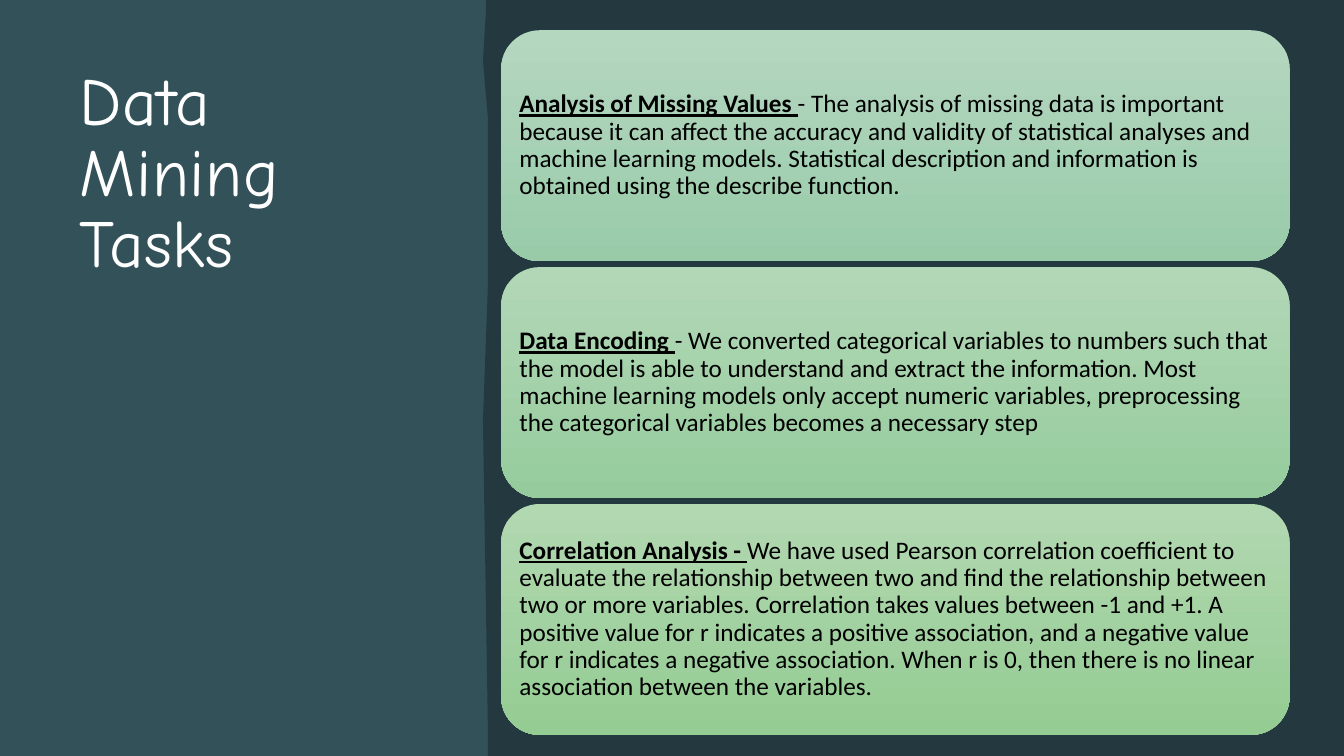
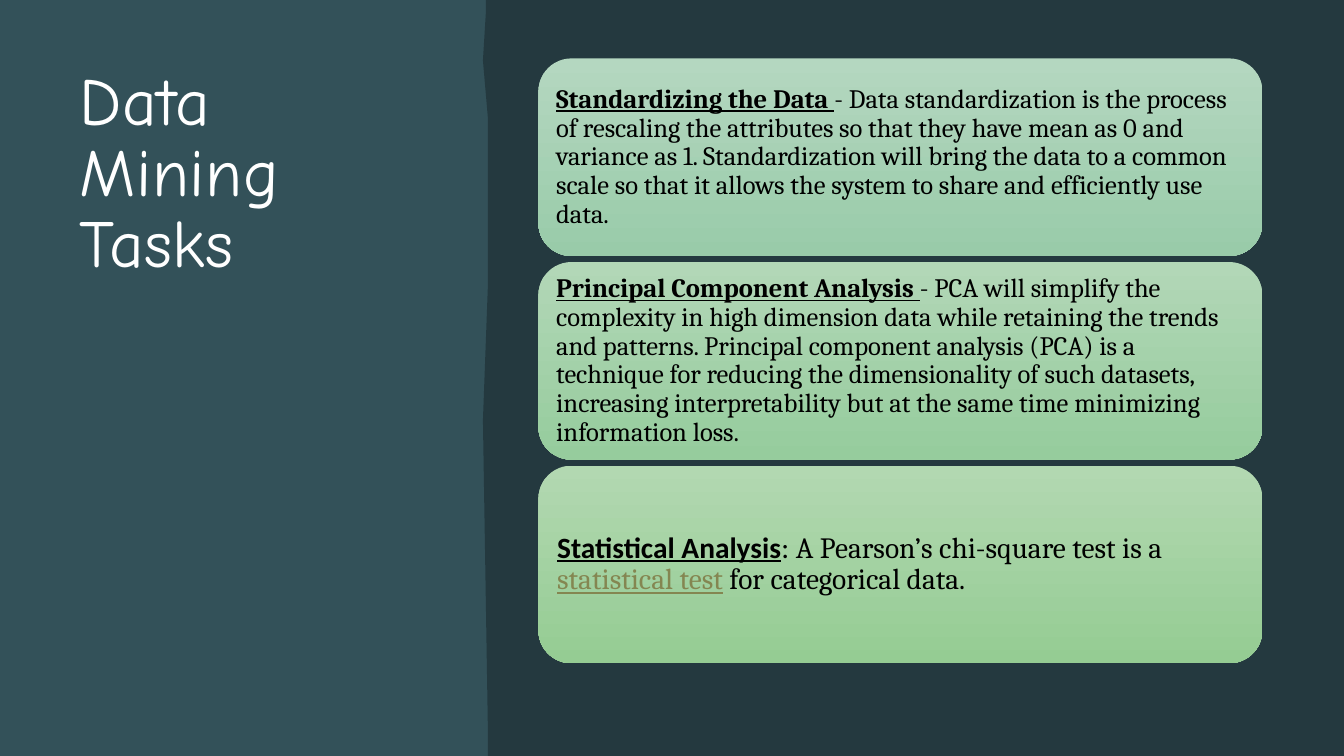
from pptx import Presentation
from pptx.dml.color import RGBColor
from pptx.enum.shapes import MSO_SHAPE
from pptx.enum.text import MSO_ANCHOR, MSO_AUTO_SIZE, PP_ALIGN
from pptx.util import Inches, Pt

# Colours
TEAL = RGBColor(0x33, 0x51, 0x59)
DARK = RGBColor(0x24, 0x39, 0x3F)
WHITE = RGBColor(0xFF, 0xFF, 0xFF)
BLACK = RGBColor(0x00, 0x00, 0x00)
OLIVE = RGBColor(0x84, 0x86, 0x51)
GREENS = [  # top and bottom of each card's gradient
    (RGBColor(0xB4, 0xD7, 0xC0), RGBColor(0x99, 0xCB, 0xA9)),
    (RGBColor(0xB2, 0xD7, 0xB7), RGBColor(0x96, 0xCC, 0x9D)),
    (RGBColor(0xB2, 0xD8, 0xB1), RGBColor(0x95, 0xCC, 0x93)),
]

# Shared layout
WIDTH, HEIGHT = 13.33, 7.5
GAP = 0.06
EDGE = [(WIDTH, 0), (WIDTH, HEIGHT), (4.84, HEIGHT), (4.84, 7.29),
        (4.79, 4.17), (4.84, 2.81), (4.84, 1.18), (4.79, 0.6), (4.82, 0.11)]

# Run styles
PLAIN = {}
HEAD = {"bold": True, "underline": True}
SANS = {"name": "Calibri"}
LINK = {"underline": True, "color": OLIVE}

# Cards: font, size, inset, runs
FIRST = [
    ("Calibri", 18, 0.07, [
        ("Analysis of Missing Values ", HEAD),
        ("- The analysis of missing data is important because it can affect "
         "the accuracy and validity of statistical analyses and machine "
         "learning models. Statistical description and information is "
         "obtained using the describe function.", PLAIN)]),
    ("Calibri", 18, 0.07, [
        ("Data Encoding ", HEAD),
        ("- We converted categorical variables to numbers such that the model "
         "is able to understand and extract the information. Most machine "
         "learning models only accept numeric variables, preprocessing the "
         "categorical variables becomes a necessary step", PLAIN)]),
    ("Calibri", 18, 0.07, [
        ("Correlation Analysis - ", HEAD),
        ("We have used Pearson correlation coefficient to evaluate the "
         "relationship between two and find the relationship between two or "
         "more variables. Correlation takes values between -1 and +1. A "
         "positive value for r indicates a positive association, and a "
         "negative value for r indicates a negative association. When r is 0, "
         "then there is no linear association between the variables.",
         PLAIN)]),
]
SECOND = [
    ("Cambria", 19, 0.08, [
        ("Standardizing the Data ", HEAD),
        ("- Data standardization is the process of rescaling the attributes "
         "so that they have mean as 0 and variance as 1. Standardization will "
         "bring the data to a common scale so that it allows the system to "
         "share and efficiently use data.", PLAIN)]),
    ("Cambria", 19, 0.08, [
        ("Principal Component Analysis ", HEAD),
        ("- PCA will simplify the complexity in high dimension data while "
         "retaining the trends and patterns. Principal component analysis "
         "(PCA) is a technique for reducing the dimensionality of such "
         "datasets, increasing interpretability but at the same time "
         "minimizing information loss.", PLAIN)]),
    ("Cambria", 21, 0.09, [
        ("Statistical Analysis", HEAD | SANS),
        (": ", SANS),
        ("A Pearson’s chi-square test is a ", PLAIN),
        ("statistical test", LINK),
        (" for categorical data.", PLAIN)]),
]


def set_frame(frame, inset, anchor):
    frame.word_wrap = True
    frame.auto_size = MSO_AUTO_SIZE.NONE
    frame.vertical_anchor = anchor
    frame.margin_left = frame.margin_right = Inches(inset)
    frame.margin_top = frame.margin_bottom = Inches(inset)


def set_para(para, name, size, color, spacing):
    para.alignment = PP_ALIGN.LEFT
    para.line_spacing = spacing
    para.font.name = name
    para.font.size = Pt(size)
    para.font.color.rgb = color


def add_run(para, text, style):
    run = para.add_run()
    run.text = text
    for key, value in style.items():
        if key == "color":
            run.font.color.rgb = value
        else:
            setattr(run.font, key, value)
    return run


def add_title(slide, text):
    title = slide.shapes.title
    title.left, title.top = Inches(0.79), Inches(0.68)
    title.width, title.height = Inches(3.4), Inches(6.03)
    set_frame(title.text_frame, 0, MSO_ANCHOR.TOP)
    para = title.text_frame.paragraphs[0]
    set_para(para, "Comic Neue", 48, WHITE, 0.88)
    run = add_run(para, text, PLAIN)
    run._r.get_or_add_rPr().set("spc", "40")  # letter spacing


def add_panel(slide):
    outline = slide.shapes.build_freeform(Inches(4.82), 0)
    outline.add_line_segments([(Inches(x), Inches(y)) for x, y in EDGE])
    panel = outline.convert_to_shape()
    panel.shadow.inherit = False
    panel.fill.solid()
    panel.fill.fore_color.rgb = DARK
    panel.line.fill.background()


def add_card(slide, box, greens, content):
    name, size, inset, runs = content
    card = slide.shapes.add_shape(
        MSO_SHAPE.ROUNDED_RECTANGLE, *[Inches(side) for side in box])
    card.shadow.inherit = False
    card.line.fill.background()
    card.fill.gradient()
    card.fill.gradient_angle = 270
    for stop, color in zip(card.fill.gradient_stops, greens):
        stop.color.rgb = color
    set_frame(card.text_frame, inset, MSO_ANCHOR.MIDDLE)
    para = card.text_frame.paragraphs[0]
    set_para(para, name, size, BLACK, 0.9)
    for text, style in runs:
        add_run(para, text, style)


def add_page(deck, box, cards):
    slide = deck.slides.add_slide(deck.slide_layouts[5])
    add_title(slide, "Data Mining Tasks")
    add_panel(slide)
    left, top, width, height = box
    for row, (greens, content) in enumerate(zip(GREENS, cards)):
        place = (left, top + row * (height + GAP), width, height)
        add_card(slide, place, greens, content)


def main():
    deck = Presentation()
    deck.slide_width, deck.slide_height = Inches(WIDTH), Inches(HEIGHT)
    back = deck.slide_master.background.fill
    back.solid()
    back.fore_color.rgb = TEAL
    add_page(deck, (4.97, 0.3, 7.82, 2.29), FIRST)
    add_page(deck, (5.34, 0.58, 7.18, 1.96), SECOND)
    deck.save("out.pptx")


if __name__ == "__main__":
    main()
